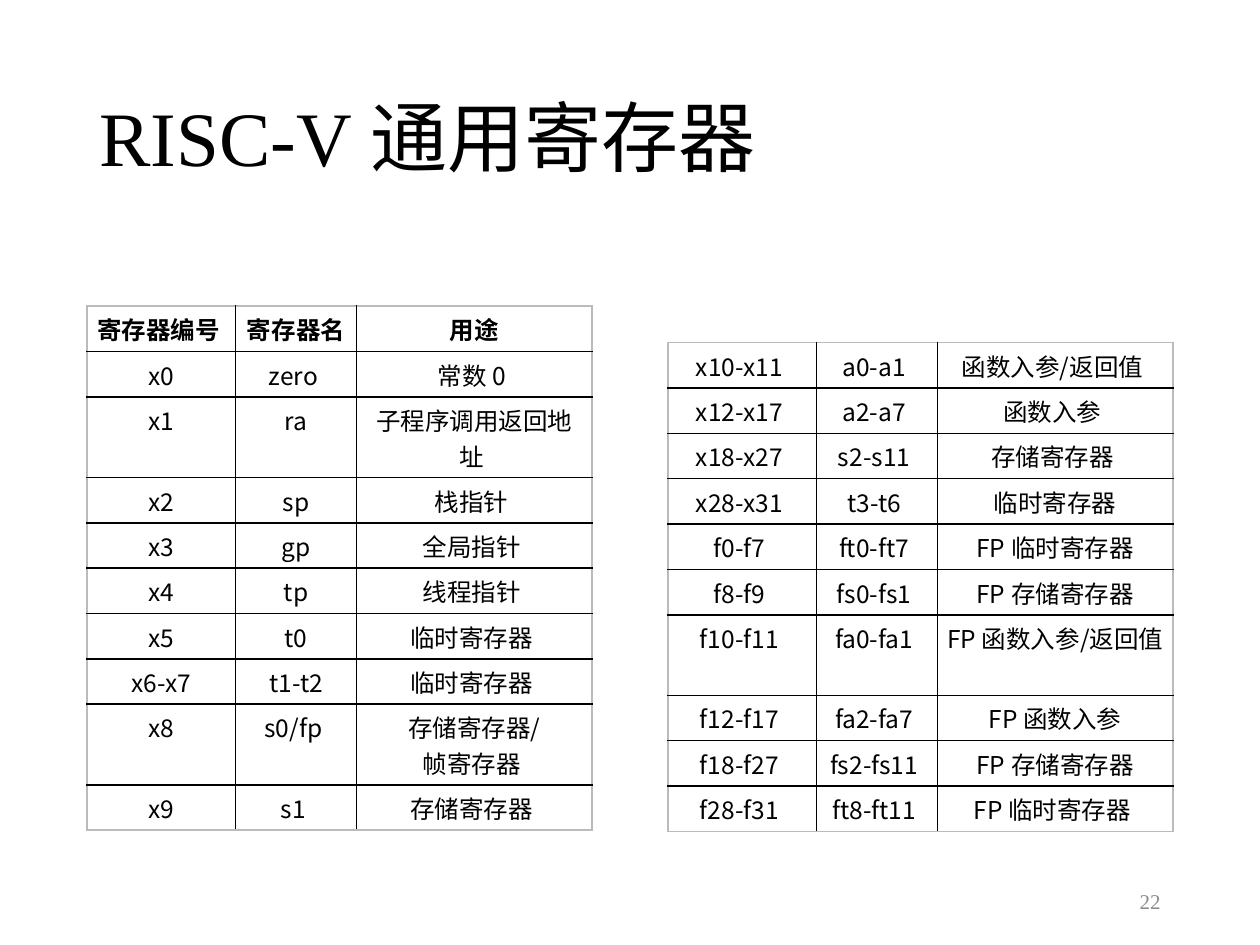
from lxml import etree
from pptx import Presentation
from pptx.dml.color import RGBColor
from pptx.enum.text import MSO_ANCHOR, MSO_AUTO_SIZE, PP_ALIGN
from pptx.oxml.ns import qn
from pptx.util import Inches, Pt

LEFT, CENTER, RIGHT = PP_ALIGN.LEFT, PP_ALIGN.CENTER, PP_ALIGN.RIGHT
MIDDLE = MSO_ANCHOR.MIDDLE
NO_FIT = MSO_AUTO_SIZE.NONE

WIDTH, HEIGHT = 10, 7.5
MARGIN = 0.69
COLUMNS = [1.18, 0.96, 1.87]
ROW, TALL_ROW = 0.36, 0.64
WRAP_LENGTH = 9
RIGHT_TABLE = WIDTH - MARGIN - sum(COLUMNS)

COLORS = {"text": "000000", "number": "8C8C8C", "grid": "000000", "frame": "BBBBBB"}
LATIN, CJK = "Times New Roman", "Noto Sans CJK SC"
TITLE = {"size": Pt(44), "name": LATIN, "bold": False}
NUMBER = {"size": Pt(12), "name": LATIN, "bold": False}
CELL = {"size": Pt(14), "name": CJK, "bold": False}
HEADER = {**CELL, "bold": True}
INSETS = {
    "margin_left": Inches(0.07), "margin_right": Inches(0.07),
    "margin_top": Inches(0.04), "margin_bottom": Inches(0.04),
}

INTEGER_REGISTERS = [
    ("寄存器编号 ", "寄存器名 ", "用途"),
    ("x0", "zero ", "常数 0 "),
    ("x1", "ra", "子程序调用返回地址 "),
    ("x2", "sp", "栈指针 "),
    ("x3", "gp", "全局指针 "),
    ("x4", "tp", "线程指针 "),
    ("x5", "t0", "临时寄存器 "),
    ("x6-x7", "t1-t2", "临时寄存器 "),
    ("x8", "s0/fp ", "存储寄存器/\n帧寄存器 "),
    ("x9", "s1 ", "存储寄存器 "),
]
MORE_REGISTERS = [
    ("x10-x11 ", "a0-a1 ", "函数入参/返回值 "),
    ("x12-x17 ", "a2-a7 ", "函数入参 "),
    ("x18-x27 ", "s2-s11 ", "存储寄存器 "),
    ("x28-x31 ", "t3-t6 ", "临时寄存器"),
    ("f0-f7 ", "ft0-ft7 ", "FP 临时寄存器"),
    ("f8-f9 ", "fs0-fs1 ", "FP 存储寄存器"),
    ("f10-f11 ", "fa0-fa1 ", "FP 函数入参/返回值 "),
    ("f12-f17 ", "fa2-fa7 ", "FP 函数入参"),
    ("f18-f27 ", "fs2-fs11 ", "FP 存储寄存器"),
    ("f28-f31 ", "ft8-ft11 ", "FP 临时寄存器 "),
]


def set_all(target, values):
    for name, value in values.items():
        setattr(target, name, value)


def place(shape, left, top, width, height):
    values = {"left": left, "top": top, "width": width, "height": height}
    set_all(shape, {name: Inches(value) for name, value in values.items()})


def write(frame, text, style, color, align):
    frame.text = text
    for para in frame.paragraphs:
        para.alignment = align
        for span in para.runs:
            set_all(span.font, style)
            span.font.color.rgb = RGBColor.from_string(COLORS[color])
            latin = span.font._element.find(qn("a:latin"))
            east_asian = etree.Element(qn("a:ea"), typeface=CJK)
            latin.addnext(east_asian)


def add_title(page, text):
    title = page.shapes.title
    place(title, MARGIN, 0.4, WIDTH - 2 * MARGIN, 1.45)
    frame = title.text_frame
    set_all(frame, {"vertical_anchor": MIDDLE, "auto_size": NO_FIT, "word_wrap": True})
    write(frame, text, TITLE, "text", LEFT)
    frame.paragraphs[0].line_spacing = 0.9


def add_page_number(page, text):
    width = 2.25
    box = page.shapes.add_textbox(0, 0, 0, 0)
    place(box, WIDTH - MARGIN - width, 6.95, width, 0.4)
    set_all(box.text_frame, {"vertical_anchor": MIDDLE, "word_wrap": True})
    write(box.text_frame, text, NUMBER, "number", RIGHT)


def draw_borders(cell, outer_sides):
    properties = cell._tc.get_or_add_tcPr()
    for side, is_outer in outer_sides.items():
        line = etree.SubElement(properties, qn("a:ln" + side), w=str(Pt(1)))
        fill = etree.SubElement(line, qn("a:solidFill"))
        color = COLORS["frame" if is_outer else "grid"]
        etree.SubElement(fill, qn("a:srgbClr"), val=color)


def row_height(row):
    usage = row[-1].strip()
    return TALL_ROW if "\n" in usage or len(usage) >= WRAP_LENGTH else ROW


def add_register_table(page, left, top, rows, has_header):
    heights = [row_height(row) for row in rows]
    holder = page.shapes.add_table(
        len(rows), len(COLUMNS), Inches(left), Inches(top),
        Inches(sum(COLUMNS)), Inches(sum(heights)))
    table = holder.table
    set_all(table, {"first_row": has_header, "horz_banding": False})
    for column, width in zip(table.columns, COLUMNS):
        column.width = Inches(width)
    for r, (row, height) in enumerate(zip(rows, heights)):
        table.rows[r].height = Inches(height)
        style = HEADER if has_header and r == 0 else CELL
        for c, text in enumerate(row):
            cell = table.cell(r, c)
            set_all(cell, INSETS)
            write(cell.text_frame, text, style, "text", CENTER)
            draw_borders(cell, {
                "L": c == 0, "R": c == len(COLUMNS) - 1,
                "T": r == 0, "B": r == len(rows) - 1})
            cell.fill.background()


def main():
    deck = Presentation()
    set_all(deck, {"slide_width": Inches(WIDTH), "slide_height": Inches(HEIGHT)})
    page = deck.slides.add_slide(deck.slide_layouts[5])
    add_title(page, "RISC-V 通用寄存器")
    add_page_number(page, "22")
    add_register_table(page, MARGIN, 2.43, INTEGER_REGISTERS, True)
    add_register_table(page, RIGHT_TABLE, 2.72, MORE_REGISTERS, False)
    deck.save("out.pptx")


if __name__ == "__main__":
    main()
